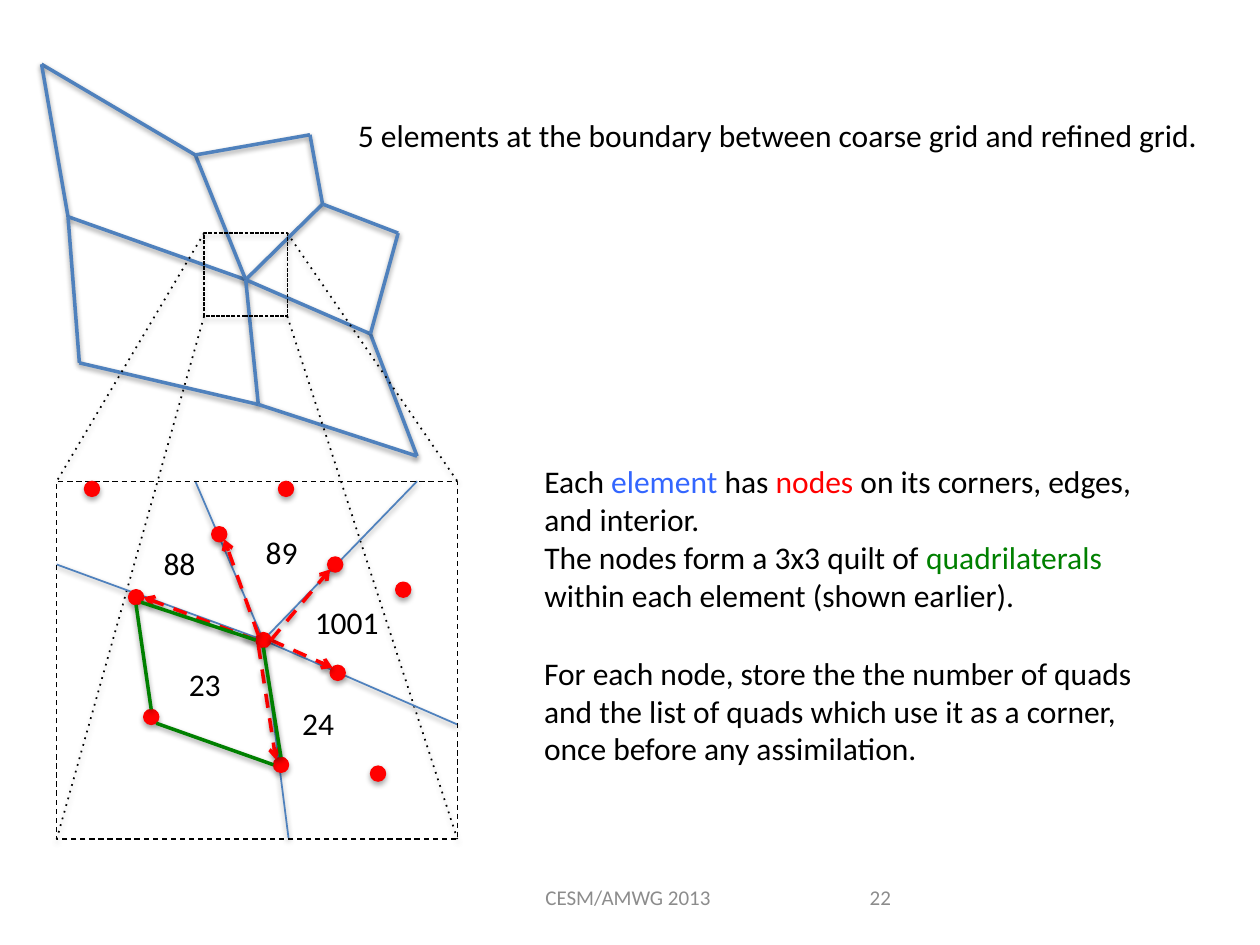
from dataclasses import dataclass

from lxml.etree import SubElement
from pptx import Presentation
from pptx.dml.color import RGBColor as RGB
from pptx.enum.shapes import MSO_CONNECTOR as CONN, MSO_SHAPE as SHAPE
from pptx.enum.text import MSO_ANCHOR as ANCHOR, MSO_AUTO_SIZE as FIT, PP_ALIGN as ALIGN
from pptx.oxml.ns import qn
from pptx.util import Inches, Pt


@dataclass(frozen=True)
class Theme:
    font: str = "Calibri"
    text_size: int = 18
    footer_size: int = 12
    ink: str = "000000"
    mesh: str = "4F81BD"
    element: str = "3366FF"
    node: str = "FF0000"
    quad: str = "008000"
    footer: str = "8C8C8C"


T = Theme()
WIDTH, HEIGHT = Inches(10), Inches(7.5)
COLS, ROWS = 1000, 750  # fine grid that carries every position
DOT = 12  # node diameter in grid units

# Coarse and refined elements: corners, then the sides joining them
CORNERS = {
    "A": (33, 51), "B": (155, 123), "C": (246, 107), "D": (256, 162),
    "E": (316, 185), "F": (294, 265), "G": (331, 362), "H": (205, 321),
    "I": (63, 288), "J": (54, 172), "O": (195, 222),
}
SIDES = "AB JA JO BO BC CD DO DE OF HO JI GF IH HG EF".split()

# Zoom source and zoom window: left, top, width, height
SOURCE = (162, 185, 66, 66)
WINDOW = (45, 382, 318, 284)

# Zoomed detail around the shared corner
CENTER = (209, 508)
RAY_ENDS = [(45, 448), (155, 382), (331, 382), (363, 575), (229, 665)]
NODES = [CENTER, (268, 534), (223, 607), (108, 474), (174, 424), (266, 448),
         (320, 468), (300, 614), (120, 569), (73, 388), (227, 388)]
ARROWS = [((215, 508), (264, 530)), ((205, 504), (178, 428)),
          ((205, 512), (219, 603)), ((215, 508), (262, 452)),
          ((203, 508), (114, 474))]
QUAD_SIDES = [((209, 514), (223, 601)), ((124, 574), (217, 607)),
              ((108, 480), (120, 563)), ((203, 508), (112, 478))]
QUAD_LABELS = {"23": (140, 523, 46), "24": (230, 554, 46), "1001": (240, 474, 71),
               "89": (201, 418, 46), "88": (120, 427, 46)}

HEADING = "5 elements at the boundary between coarse grid and refined grid."
ABOUT_NODES = [
    [("Each ", T.ink), ("element", T.element), (" has ", T.ink), ("nodes", T.node),
     (" on its corners, edges, and interior.", T.ink)],
    [("The nodes form a 3x3 quilt of ", T.ink), ("quadrilaterals", T.quad),
     (" within each element (shown earlier).", T.ink)],
]
ABOUT_STORAGE = ["For each node, store the the number of quads",
                 "and the list of quads which use it as a corner,",
                 "once before any assimilation."]


def x(col):
    return int(WIDTH * col / COLS)


def y(row):
    return int(HEIGHT * row / ROWS)


def box(left, top, width, height):
    return x(left), y(top), x(width), y(height)


def assign(obj, values):
    for name, value in values.items():
        setattr(obj, name, value)


def set_effect(sp, shadow=True, alpha=38, dist=20000):
    """Give a shape a soft downward shadow, or none at all."""
    effects = SubElement(sp._element.spPr, qn("a:effectLst"))
    if shadow:
        outer = SubElement(effects, qn("a:outerShdw"), blurRad="40000",
                           dist=str(dist), dir="5400000", rotWithShape="0")
        color = SubElement(outer, qn("a:srgbClr"), val=T.ink)
        SubElement(color, qn("a:alpha"), val=str(alpha * 1000))


def set_line(sp, color, width, dash=None, arrow=False):
    sp.line.color.rgb = RGB.from_string(color)
    sp.line.width = Pt(width)
    ln = sp.line._get_or_add_ln()
    if dash:
        SubElement(ln, qn("a:prstDash"), val=dash)
    if arrow:
        SubElement(ln, qn("a:tailEnd"), type="arrow")


def add_line(shapes, start, end, color, width, **style):
    sp = shapes.add_connector(CONN.STRAIGHT, x(start[0]), y(start[1]), x(end[0]), y(end[1]))
    set_line(sp, color, width, **style)
    set_effect(sp)


def add_frame(shapes, area, dash, shadow):
    sp = shapes.add_shape(SHAPE.RECTANGLE, *box(*area))
    sp.fill.background()
    set_line(sp, T.ink, 0.75, dash)
    set_effect(sp, shadow, alpha=35, dist=23000)


def add_node(shapes, center):
    left, top = (c - DOT / 2 for c in center)
    sp = shapes.add_shape(SHAPE.OVAL, *box(left, top, DOT, DOT))
    sp.fill.solid()
    sp.fill.fore_color.rgb = RGB.from_string(T.node)
    set_line(sp, T.node, 0.75)
    set_effect(sp, alpha=35, dist=23000)


def write(sp, paragraphs, size=T.text_size, color=T.ink, align=ALIGN.LEFT,
          wrap=False, anchor=ANCHOR.TOP):
    """Fill a shape; a paragraph is a string or a list of (text, colour)."""
    tf = sp.text_frame
    assign(tf, {"auto_size": FIT.NONE, "word_wrap": wrap, "vertical_anchor": anchor})
    for i, runs in enumerate(paragraphs):
        p = tf.add_paragraph() if i else tf.paragraphs[0]
        assign(p, {"alignment": align, "space_before": Pt(0)})
        for text, ink in [(runs, color)] if isinstance(runs, str) else runs:
            r = p.add_run()
            r.text = text
            assign(r.font, {"name": T.font, "size": Pt(size)})
            r.font.color.rgb = RGB.from_string(ink)


def add_text(shapes, area, paragraphs, **style):
    write(shapes.add_textbox(*box(*area)), paragraphs, **style)


def fill_placeholder(sp, area, paragraphs, **style):
    assign(sp, dict(zip(("left", "top", "width", "height"), box(*area))))
    write(sp, paragraphs, **style)
    for p in sp.text_frame.paragraphs:  # plain text, no bullets
        pPr = p._p.get_or_add_pPr()
        pPr.set("marL", "0")
        pPr.set("indent", "0")
        SubElement(pPr, qn("a:buNone"))


def corners(left, top, width, height):
    return [(c, r) for c in (left, left + width) for r in (top, top + height)]


def draw_mesh(shapes):
    for a, b in SIDES:
        add_line(shapes, CORNERS[a], CORNERS[b], T.mesh, 2)


def draw_zoom(shapes):
    add_frame(shapes, SOURCE, "sysDash", True)
    for start, end in zip(corners(*SOURCE), corners(*WINDOW)):
        add_line(shapes, start, end, T.ink, 1, dash="dot")


def draw_detail(shapes):
    for end in RAY_ENDS:
        add_line(shapes, end, CENTER, T.mesh, 1)
    add_frame(shapes, WINDOW, "dash", False)
    for center in NODES:
        add_node(shapes, center)
    for start, end in ARROWS:
        add_line(shapes, start, end, T.node, 2, dash="dash", arrow=True)
    for start, end in QUAD_SIDES:
        add_line(shapes, start, end, T.quad, 2)
    for label, (left, top, width) in QUAD_LABELS.items():
        add_text(shapes, (left, top, width, 40), [label])


def main():
    prs = Presentation()
    assign(prs, {"slide_width": WIDTH, "slide_height": HEIGHT})
    s = prs.slides.add_slide(prs.slide_layouts[1])
    shapes = s.shapes

    # Diagram
    draw_mesh(shapes.add_group_shape().shapes)
    draw_zoom(shapes)
    draw_detail(shapes.add_group_shape().shapes)

    # Wording
    fill_placeholder(shapes.title, (274, 87, 695, 40), [HEADING])
    fill_placeholder(s.placeholders[1], (422, 362, 500, 131), ABOUT_NODES, wrap=True)
    add_text(shapes, (422, 514, 499, 101), ABOUT_STORAGE)

    # Footer
    footer = {"size": T.footer_size, "color": T.footer, "wrap": True, "anchor": ANCHOR.MIDDLE}
    add_text(shapes, (402, 692, 193, 40), ["CESM/AMWG 2013"], align=ALIGN.CENTER, **footer)
    add_text(shapes, (669, 692, 48, 40), ["22"], align=ALIGN.RIGHT, **footer)

    prs.save("out.pptx")


if __name__ == "__main__":
    main()
